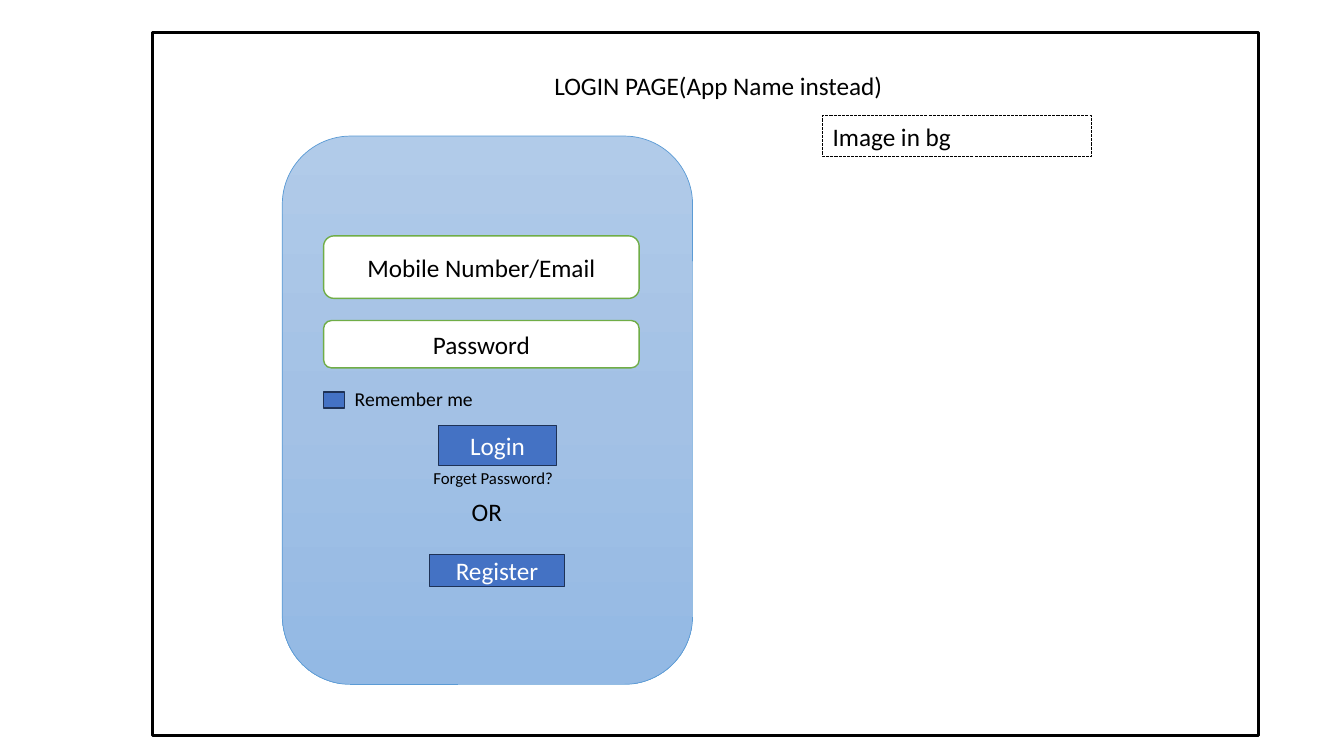
"""Draw the wireframe of a login page."""
from copy import deepcopy
from typing import NamedTuple, Optional

from pptx import Presentation
from pptx import util as u
from pptx.dml import color as clr
from pptx.enum import dml, shapes, text

HUES = {
    "black": "000000", "white": "FFFFFF", "green": "70AD47", "blue": "4472C4",
    "navy": "1E3256", "sky": "5B9BD5",
    "top": "B1CBE9", "mid": "A3C1E5", "base": "93B9E4",
}
RECT = shapes.MSO_SHAPE.RECTANGLE
ROUND = shapes.MSO_SHAPE.ROUNDED_RECTANGLE
LEFT, MID = text.PP_ALIGN.LEFT, text.PP_ALIGN.CENTER
FIT = {
    "word_wrap": True,
    "auto_size": text.MSO_AUTO_SIZE.SHAPE_TO_FIT_TEXT,
    "vertical_anchor": text.MSO_ANCHOR.TOP,
}
FIXED = {
    "word_wrap": True,
    "auto_size": text.MSO_AUTO_SIZE.NONE,
    "vertical_anchor": text.MSO_ANCHOR.MIDDLE,
}


class Style(NamedTuple):
    kind: shapes.MSO_SHAPE
    fill: Optional[str]
    line: str
    width: float
    ink: str = "black"
    align: text.PP_ALIGN = MID
    frame: dict = FIXED
    dash: Optional[dml.MSO_LINE] = None


class Box(NamedTuple):
    style: Style
    left: float
    top: float
    width: float
    height: float
    words: str = ""


class Label(NamedTuple):
    words: str
    left: float
    top: float
    width: float
    height: float
    size: int = 18
    align: text.PP_ALIGN = LEFT


PAGE = Style(RECT, "white", "black", 2.25)
NOTE = Style(RECT, None, "black", 0.75, align=LEFT, frame=FIT,
             dash=dml.MSO_LINE.SQUARE_DOT)
CARD = Style(ROUND, "fade", "sky", 0.5)
FIELD = Style(ROUND, "white", "green", 1)
BUTTON = Style(RECT, "blue", "navy", 1, "white")

ITEMS = (
    Box(PAGE, 1.51, 0.32, 10.97, 6.98),
    Label("LOGIN PAGE(App Name instead)", 5.09, 0.65, 4.07, 0.4, align=MID),
    Box(NOTE, 8.16, 1.15, 2.67, 0.4, "Image in bg"),
    Box(CARD, 2.8, 1.35, 4.07, 5.44),
    Box(FIELD, 3.21, 2.34, 3.13, 0.62, "Mobile Number/Email"),
    Box(FIELD, 3.21, 3.18, 3.13, 0.47, "Password"),
    Box(BUTTON, 4.35, 4.22, 1.17, 0.4, "Login"),
    Label("OR", 4.58, 4.87, 0.72, 0.41),
    Label("Remember me", 3.42, 3.79, 2.1, 0.34, 14),
    Box(BUTTON, 3.21, 3.89, 0.21, 0.16),
    Box(BUTTON, 4.26, 5.5, 1.34, 0.32, "Register"),
    Label("Forget Password?", 4.2, 4.59, 1.74, 0.31, 12),
)


def hue(name: str) -> clr.RGBColor:
    return clr.RGBColor.from_string(HUES[name])


def apply(item, form: dict) -> None:
    for key, value in form.items():
        setattr(item, key, value)


def write(shape, words: str, size: int, ink: str, align, frame: dict) -> None:
    apply(shape.text_frame, frame)
    para = shape.text_frame.paragraphs[0]
    para.alignment = align
    run = para.add_run()
    run.text = words
    apply(run.font, {"name": "Calibri", "size": u.Pt(size)})
    run.font.color.rgb = hue(ink)


def fade(fill) -> None:
    fill.gradient()
    fill.gradient_angle = 270
    first = fill.gradient_stops[0]._gs
    first.addnext(deepcopy(first))
    for index, (stop, name) in enumerate(
            zip(fill.gradient_stops, ("top", "mid", "base"))):
        stop.position = index / 2
        stop.color.rgb = hue(name)


def draw_box(slide, box: Box) -> None:
    style = box.style
    shape = slide.shapes.add_shape(style.kind, *map(u.Inches, box[1:5]))
    shape.shadow.inherit = False
    if style.fill == "fade":
        fade(shape.fill)
    elif style.fill:
        shape.fill.solid()
        shape.fill.fore_color.rgb = hue(style.fill)
    else:
        shape.fill.background()
    shape.line.color.rgb = hue(style.line)
    apply(shape.line, {"width": u.Pt(style.width), "dash_style": style.dash})
    if box.words:
        write(shape, box.words, 18, style.ink, style.align, style.frame)


def draw_label(slide, label: Label) -> None:
    shape = slide.shapes.add_textbox(*map(u.Inches, label[1:5]))
    write(shape, label.words, label.size, "black", label.align, FIT)


def main() -> None:
    deck = Presentation()
    apply(deck, {"slide_width": u.Inches(13.33), "slide_height": u.Inches(7.5)})
    slide = deck.slides.add_slide(deck.slide_layouts[6])
    for item in ITEMS:
        if isinstance(item, Box):
            draw_box(slide, item)
        else:
            draw_label(slide, item)
    deck.save("out.pptx")


if __name__ == "__main__":
    main()
